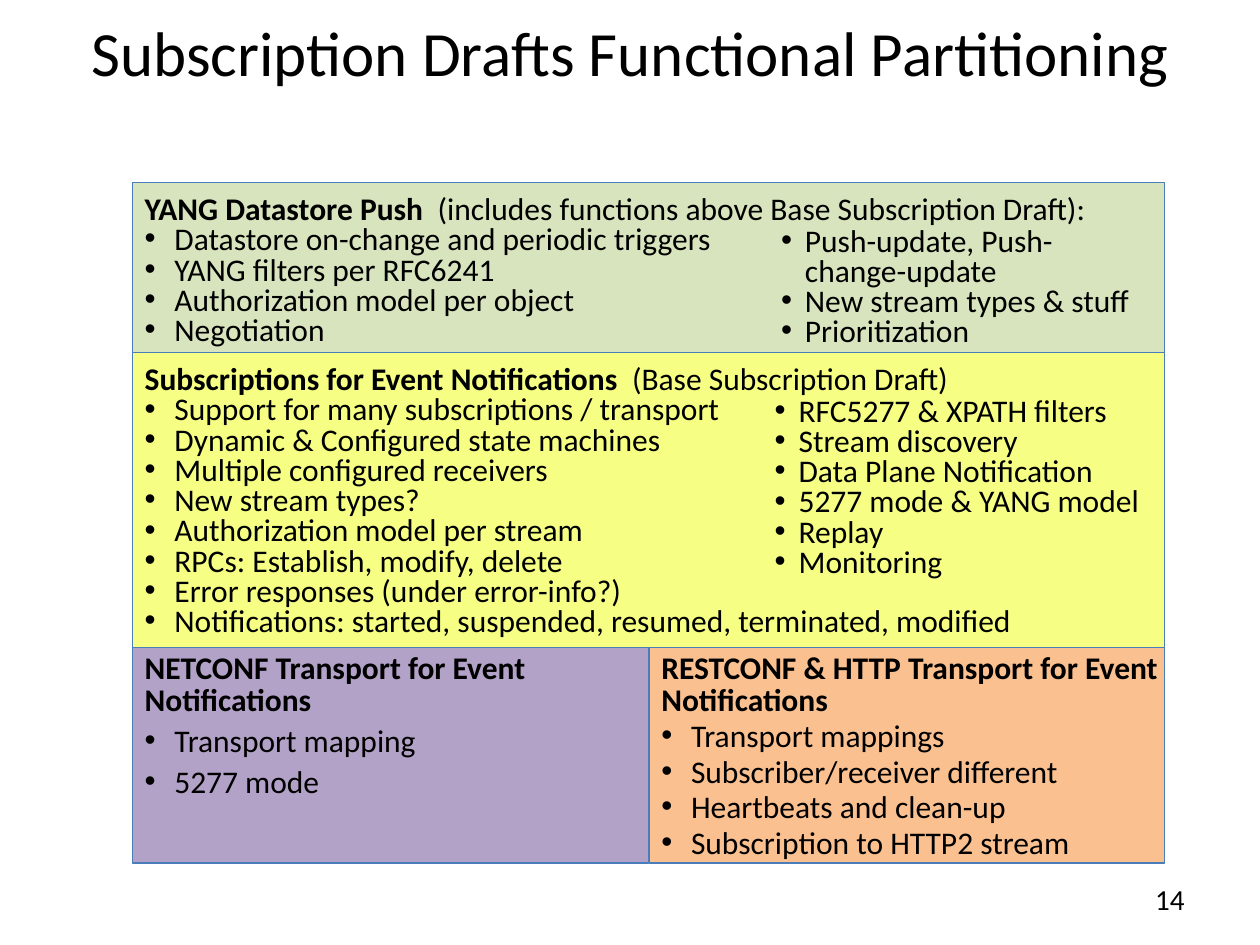
from lxml.etree import SubElement
from pptx import Presentation
from pptx.dml.color import RGBColor
from pptx.enum.shapes import MSO_SHAPE
from pptx.enum.text import MSO_ANCHOR, PP_ALIGN
from pptx.oxml.ns import qn
from pptx.util import Inches, Pt

CELL = 0.1  # grid of 100 columns by 75 rows, in inches


def color(value):
    return RGBColor.from_string(value)


def grid(*cells):
    return [Inches(cell * CELL) for cell in cells]


class Deck:
    font = "Calibri"
    ink = "000000"
    border = "4A7EBB"
    size = 18

    def __init__(self, presentation):
        self.slide = presentation.slides.add_slide(presentation.slide_layouts[6])

    def frame(self, shape, insets=(1, 0.5, 1, 0.5), anchor=MSO_ANCHOR.TOP):
        frame = shape.text_frame
        frame.word_wrap = True
        frame.vertical_anchor = anchor
        (frame.margin_left, frame.margin_top,
         frame.margin_right, frame.margin_bottom) = grid(*insets)
        return frame

    def style(self, paragraph, size=None, spacing=1.0, before=0,
              align=PP_ALIGN.LEFT):
        paragraph.alignment = align
        paragraph.line_spacing = spacing
        paragraph.space_before = Pt(before)
        for run in paragraph.runs:
            run.font.name = self.font
            run.font.size = Pt(size or self.size)
            run.font.color.rgb = color(self.ink)

    def bullet(self, paragraph, text, indent, hanging, before=0):
        paragraph.text = text
        self.style(paragraph, spacing=0.8, before=before)
        properties = paragraph._p.get_or_add_pPr()
        left, hang = grid(indent, hanging)
        properties.set("marL", str(left))
        properties.set("indent", str(-hang))
        SubElement(properties, qn("a:buFont")).set("typeface", "Arial")
        SubElement(properties, qn("a:buChar")).set("char", "•")

    def panel(self, area, fill, heading, note, items,
              right_inset=1, spacing=1.0, before=0):
        """Bordered block with a bold heading and bullets."""
        block = self.slide.shapes.add_shape(MSO_SHAPE.RECTANGLE, *grid(*area))
        block.shadow.inherit = False
        block.fill.solid()
        block.fill.fore_color.rgb = color(fill)
        block.line.color.rgb = color(self.border)
        block.line.width = Pt(0.75)
        frame = self.frame(block, (1, 0.5, right_inset, 0.5))
        first = frame.paragraphs[0]
        for text, bold in ((heading, True), (note, False)):
            if text:
                run = first.add_run()
                run.text = text
                run.font.bold = bold
        self.style(first, spacing=spacing)
        for item in items:
            self.bullet(frame.add_paragraph(), item, 2.36, 2.36, before)

    def bullets(self, area, items):
        """Second column of bullets, laid over a panel."""
        frame = self.frame(self.slide.shapes.add_textbox(*grid(*area)))
        for index, item in enumerate(items):
            paragraph = frame.add_paragraph() if index else frame.paragraphs[0]
            self.bullet(paragraph, item, 4.4, 1.9)

    def label(self, area, text, size, align, spacing=1.0,
              insets=(1, 0.5, 1, 0.5), anchor=MSO_ANCHOR.TOP):
        box = self.slide.shapes.add_textbox(*grid(*area))
        frame = self.frame(box, insets, anchor)
        frame.text = text
        self.style(frame.paragraphs[0], size, spacing, align=align)


def main():
    presentation = Presentation()
    presentation.slide_width, presentation.slide_height = grid(100, 75)
    deck = Deck(presentation)

    # Stack edges
    left, middle, right = 10.5, 51.5, 92.4
    push_top, base_top, transport_top, bottom = 14.5, 28, 51.4, 68.5
    width = right - left
    transport_height = bottom - transport_top

    # Base subscription and datastore push layers
    deck.panel((left, base_top, width, transport_top - base_top), "F6FF84",
               "Subscriptions for Event Notifications  ",
               "(Base Subscription Draft)",
               ["Support for many subscriptions / transport",
                "Dynamic & Configured state machines",
                "Multiple configured receivers",
                "New stream types?",
                "Authorization model per stream",
                "RPCs: Establish, modify, delete",
                "Error responses (under error-info?)",
                "Notifications: started, suspended, resumed, terminated, modified"])
    deck.panel((left, push_top, width, base_top - push_top), "D7E4BD",
               "YANG Datastore Push  ",
               "(includes functions above Base Subscription Draft):",
               ["Datastore on-change and periodic triggers",
                "YANG filters per RFC6241",
                "Authorization model per object",
                "Negotiation"])

    # Transport layers
    deck.panel((left, transport_top, middle - left, transport_height), "B3A2C7",
               "NETCONF Transport for Event Notifications", "",
               ["Transport mapping", "5277 mode"],
               right_inset=0.1, spacing=0.85, before=6)
    deck.panel((middle, transport_top, right - middle, transport_height), "FAC090",
               "RESTCONF & HTTP Transport for Event Notifications", "",
               ["Transport mappings",
                "Subscriber/receiver different",
                "Heartbeats and clean-up",
                "Subscription to HTTP2 stream"],
               right_inset=0.1, spacing=0.85, before=3)

    # Title
    deck.label((5, 1, 90, 7.3), "Subscription Drafts Functional Partitioning",
               36, PP_ALIGN.CENTER, 0.8, (0, 0, 0, 0), MSO_ANCHOR.MIDDLE)

    # Second columns
    deck.bullets((58, 31.1, 37.7, 17.6),
                 ["RFC5277 & XPATH filters", "Stream discovery",
                  "Data Plane Notification", "5277 mode & YANG model",
                  "Replay", "Monitoring"])
    deck.bullets((58.5, 17.6, 33.9, 8.8),
                 ["Push-update, Push-change-update",
                  "New stream types & stuff", "Prioritization"])

    # Page number
    deck.label((71.7, 69.5, 23.3, 4), "14", 16.6, PP_ALIGN.RIGHT)

    presentation.save("out.pptx")


if __name__ == "__main__":
    main()
